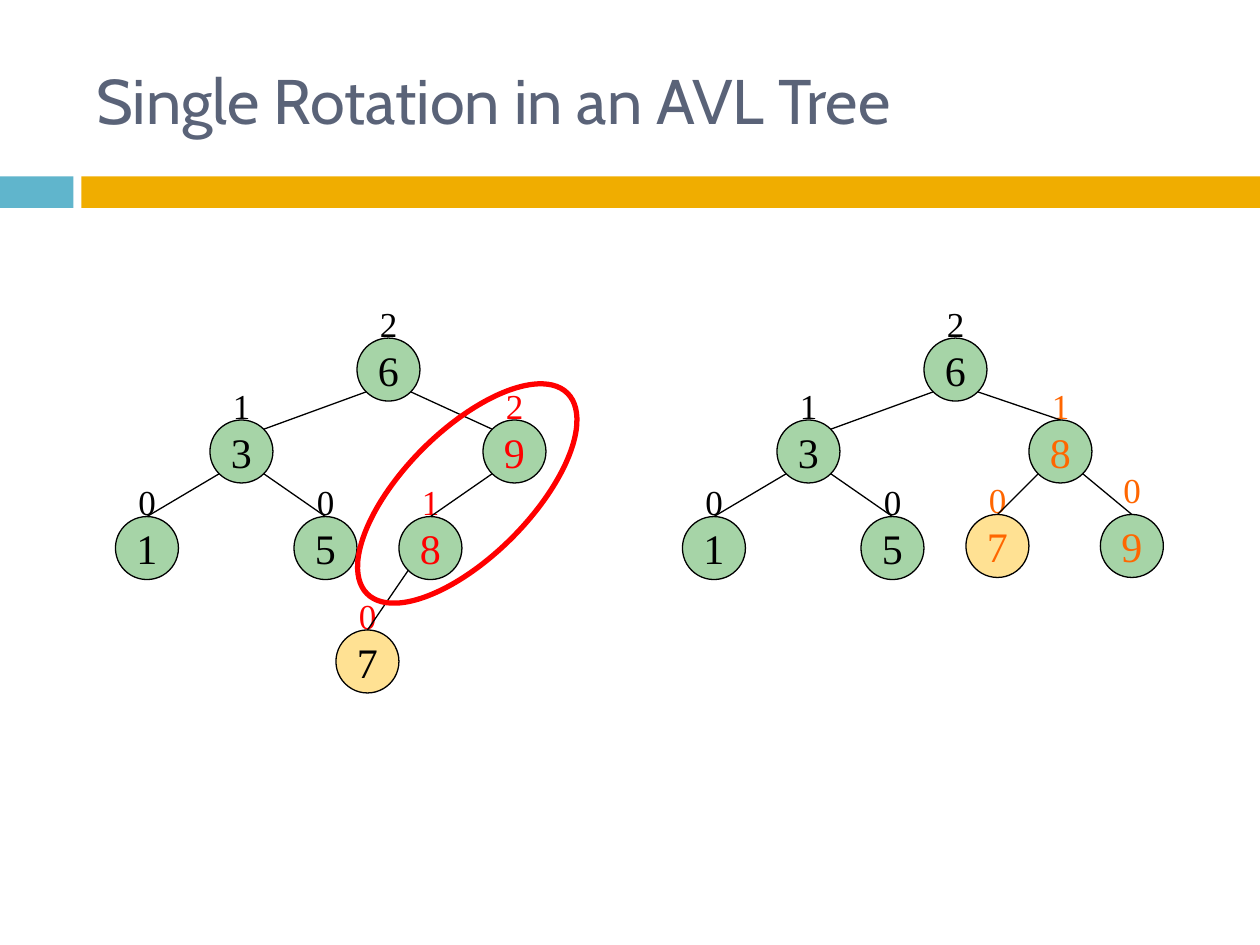
from dataclasses import dataclass
from math import sqrt

from lxml.etree import SubElement
from pptx import Presentation
from pptx.dml.color import RGBColor
from pptx.enum.shapes import MSO_CONNECTOR, MSO_SHAPE
from pptx.enum.text import MSO_ANCHOR, PP_ALIGN
from pptx.oxml.ns import qn
from pptx.util import Inches, Pt


@dataclass(frozen=True)
class Theme:
    title: str = "5A6378"
    teal: str = "60B5CC"
    amber: str = "F0AD00"
    green: str = "A6D4A7"
    yellow: str = "FFE193"
    ink: str = "000000"
    red: str = "FF0000"
    orange: str = "FF6600"
    title_font: str = "Cabin"
    tree_font: str = "Times New Roman"
    title_size: int = 36
    key_size: int = 24
    height_size: int = 20
    thin: float = 0.75
    thick: float = 3


@dataclass(frozen=True)
class Node:
    key: str
    height: str
    col: float
    row: float
    color: str
    fill: str
    lift: float = 7


class TreeSlide:
    CELL = 1 / 12
    RADIUS = 3

    def __init__(self, s, theme):
        self.s = s
        self.theme = theme

    def grid(self, *cells):
        return [Inches(c * self.CELL) for c in cells]

    def add_text(self, shape, text, font, size, color, align, wrap=False):
        tf = shape.text_frame
        tf.word_wrap = wrap
        p = tf.paragraphs[0]
        p.alignment = align
        r = p.add_run()
        r.text = text
        r.font.name = font
        r.font.size = Pt(size)
        r.font.color.rgb = RGBColor.from_string(color)
        return tf

    def shape(self, kind, box, fill=None, line=None, width=None):
        sp = self.s.shapes.add_shape(kind, *self.grid(*box))
        sp.shadow.inherit = False
        if fill:
            sp.fill.solid()
            sp.fill.fore_color.rgb = RGBColor.from_string(fill)
        else:
            sp.fill.background()
        if line:
            sp.line.color.rgb = RGBColor.from_string(line)
            sp.line.width = Pt(width)
        else:
            sp.line.fill.background()
        return sp

    def title(self, text, box):
        t = self.theme
        sp = self.s.shapes.add_textbox(*self.grid(*box))
        tf = self.add_text(sp, text, t.title_font, t.title_size, t.title, PP_ALIGN.LEFT, True)
        tf.vertical_anchor = MSO_ANCHOR.MIDDLE

    def bar(self, box, fill):
        self.shape(MSO_SHAPE.RECTANGLE, box, fill)

    def height_label(self, n, shift):
        t = self.theme
        box = (n.col + shift - 2, n.row - n.lift, 4, 5.2)
        sp = self.s.shapes.add_textbox(*self.grid(*box))
        self.add_text(sp, n.height, t.tree_font, t.height_size, n.color, PP_ALIGN.CENTER)

    def node(self, n, shift, key_color):
        t = self.theme
        rad = self.RADIUS
        box = (n.col + shift - rad, n.row - rad, 2 * rad, 2 * rad)
        sp = self.shape(MSO_SHAPE.OVAL, box, n.fill, t.ink, t.thin)
        tf = self.add_text(sp, n.key, t.tree_font, t.key_size, key_color, PP_ALIGN.CENTER)
        tf.vertical_anchor = MSO_ANCHOR.MIDDLE

    def edge(self, parent, child, shift, to_side):
        t = self.theme
        diagonal = self.RADIUS / sqrt(2)
        side = diagonal if child.col > parent.col else -diagonal
        start = (parent.col + shift + side, parent.row + diagonal)
        if to_side:
            end = (child.col + shift - side, child.row - diagonal)
        else:
            end = (child.col + shift, child.row - self.RADIUS)
        line = self.s.shapes.add_connector(MSO_CONNECTOR.STRAIGHT, *self.grid(*start, *end))
        line.line.color.rgb = RGBColor.from_string(t.ink)
        line.line.width = Pt(t.thin)
        SubElement(line._element.spPr, qn("a:effectLst"))

    def tree(self, nodes, edges, side_edges, shift=0, plain_keys=""):
        by_key = {n.key: n for n in nodes}
        for n in nodes:
            self.height_label(n, shift)
        for n in nodes:
            self.node(n, shift, self.theme.ink if n.key in plain_keys else n.color)
        for parent, child in edges:
            self.edge(by_key[parent], by_key[child], shift, parent + child in side_edges)

    def highlight(self, box, angle):
        t = self.theme
        self.shape(MSO_SHAPE.OVAL, box, line=t.red, width=t.thick).rotation = angle


def main():
    t = Theme()
    prs = Presentation()
    prs.slide_width, prs.slide_height = Inches(10), Inches(7.5)
    slide = TreeSlide(prs.slides.add_slide(prs.slide_layouts[6]), t)

    slide.bar((0, 16.8, 7, 3), t.teal)
    slide.bar((7.75, 16.8, 112.25, 3), t.amber)
    slide.title("Single Rotation in an AVL Tree", (8, 3, 107, 13))

    shared = [
        Node("6", "2", 37, 35.2, t.ink, t.green),
        Node("3", "1", 23, 43, t.ink, t.green),
        Node("1", "0", 14, 52.2, t.ink, t.green),
        Node("5", "0", 31, 52.2, t.ink, t.green),
    ]
    before = [
        Node("9", "2", 49, 43, t.red, t.green),
        Node("8", "1", 41, 52.2, t.red, t.green),
        Node("7", "0", 35, 63, t.red, t.yellow),
    ]
    after = [
        Node("8", "1", 47, 43, t.orange, t.green),
        Node("7", "0", 41, 52, t.orange, t.yellow),
        Node("9", "0", 53.8, 52, t.orange, t.green, 8),
    ]
    shared_edges = ["63", "31", "35"]
    slide.tree(shared + before, shared_edges + ["69", "98", "87"], ["63", "69"], plain_keys="7")
    slide.tree(shared + after, shared_edges + ["68", "87", "89"], ["63"], shift=54)
    slide.highlight((31, 41, 27, 12), 315)

    prs.save("out.pptx")


if __name__ == "__main__":
    main()
